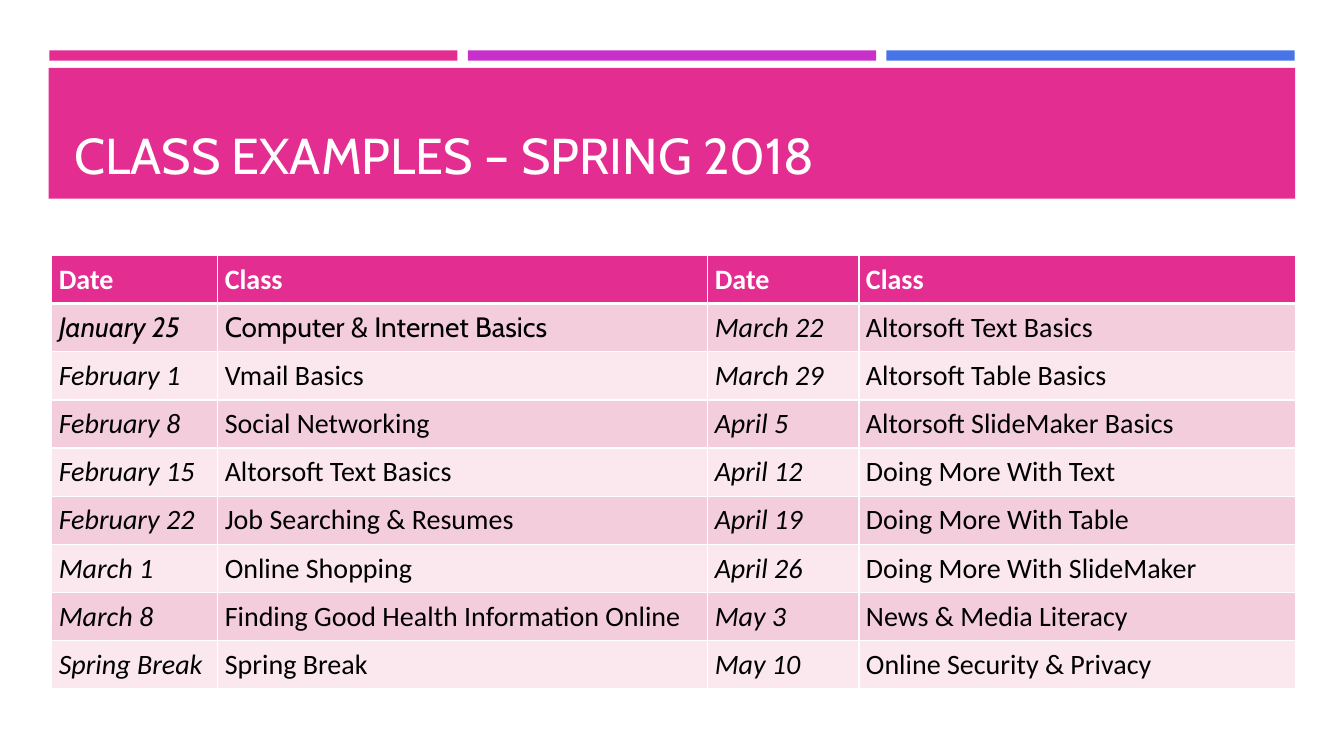
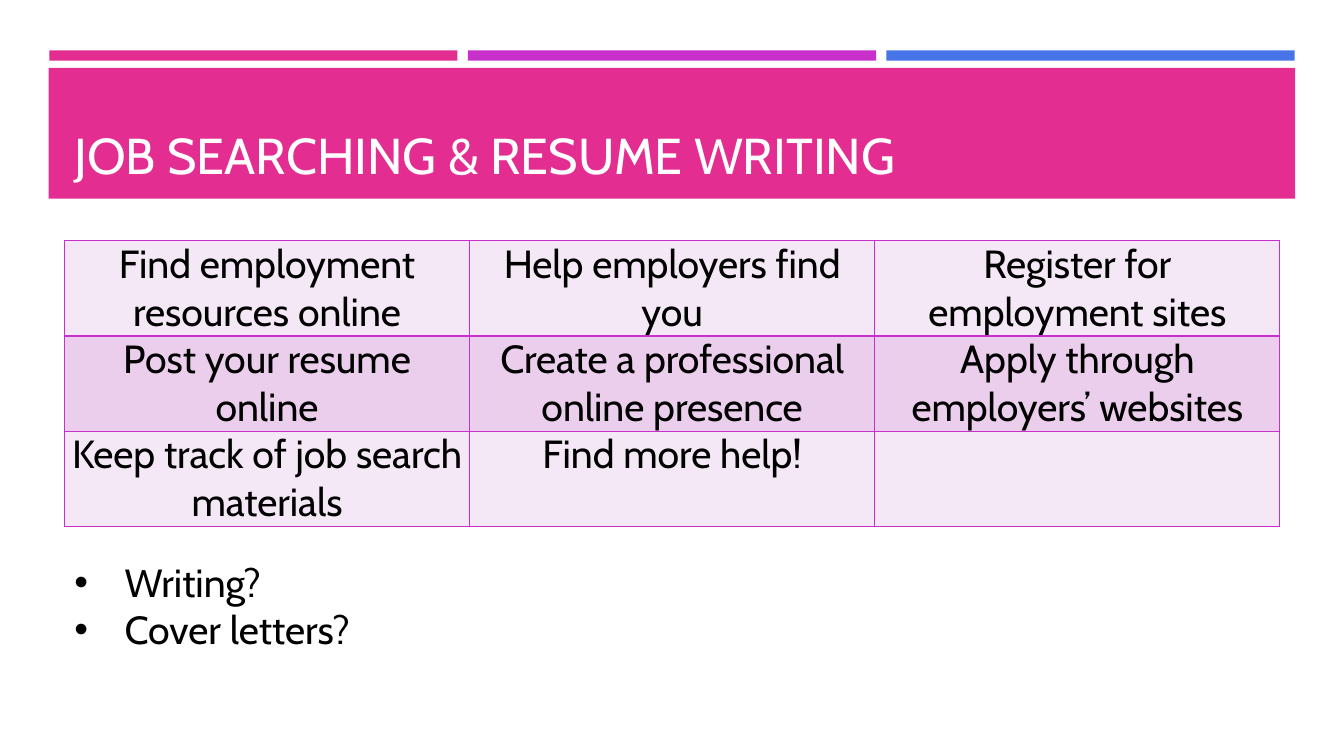
from lxml import etree
from pptx import Presentation
from pptx.dml.color import RGBColor
from pptx.enum.shapes import MSO_SHAPE
from pptx.enum.text import MSO_ANCHOR, PP_ALIGN
from pptx.oxml.ns import qn
from pptx.util import Pt

RECTANGLE = MSO_SHAPE.RECTANGLE
BOTTOM = MSO_ANCHOR.BOTTOM
LEFT, CENTER = PP_ALIGN.LEFT, PP_ALIGN.CENTER

COLORS = {
    "pink": "E32D91", "purple": "C830CC", "blue": "4775E7",
    "white": "FFFFFF", "black": "000000",
    "pink_band": "F4CDDC", "pink_pale": "FAE8EE",
    "purple_band": "EBCDEC", "purple_pale": "F5E8F6",
}
DISPLAY, BODY = "Cabin", "Calibri"

# Boxes: left, top, width, height in points
STRIPES_BOX = (35.2, 36, 889.6, 7.4)
TITLE_BOX = (34.8, 48.5, 890.4, 93.5)
SCHEDULE_BOX = (37, 182.5, 888.5, 309.6)
TOPICS_BOX = (46, 172, 868.2, 204)
QUESTIONS_BOX = (46, 395.3, 868.2, 75)

SCHEDULE_COLUMNS = (118.6, 350, 108, 311.9)
SCHEDULE = [
    ("Date", "Class", "Date", "Class"),
    ("January 25", "Computer & Internet Basics", "March 22", "Altorsoft Text Basics"),
    ("February 1", "Vmail Basics", "March 29", "Altorsoft Table Basics"),
    ("February 8", "Social Networking", "April 5", "Altorsoft SlideMaker Basics"),
    ("February 15", "Altorsoft Text Basics", "April 12", "Doing More With Text"),
    ("February 22", "Job Searching & Resumes", "April 19", "Doing More With Table"),
    ("March 1", "Online Shopping", "April 26", "Doing More With SlideMaker"),
    ("March 8", "Finding Good Health Information Online", "May 3", "News & Media Literacy"),
    ("Spring Break", "Spring Break", "May 10", "Online Security & Privacy"),
]
TOPICS = [
    ("Find employment resources online", "Help employers find you",
     "Register for employment sites"),
    ("Post your resume online", "Create a professional online presence",
     "Apply through employers’ websites"),
    ("Keep track of job search materials", "Find more help!", ""),
]
QUESTIONS = ("Writing?", "Cover letters?")


def rgb(name):
    return RGBColor.from_string(COLORS[name])


def style_text(paragraph, size, font, color, bold=False, italic=False):
    for run in paragraph.runs:
        run.font.size = Pt(size)
        run.font.name = font
        run.font.color.rgb = rgb(color)
        run.font.bold = bold
        run.font.italic = italic


def add_band(slide, left, top, width, height, color):
    band = slide.shapes.add_shape(RECTANGLE, Pt(left), Pt(top), Pt(width), Pt(height))
    band.shadow.inherit = False
    band.fill.solid()
    band.fill.fore_color.rgb = rgb(color)
    band.line.fill.background()


def add_text_box(slide, left, top, width, height):
    frame = slide.shapes.add_textbox(Pt(left), Pt(top), Pt(width), Pt(height)).text_frame
    frame.word_wrap = True
    return frame


def add_stripes(slide, box, gap=7.4):
    left, top, width, height = box
    colors = ("pink", "purple", "blue")
    stripe_width = (width - gap * (len(colors) - 1)) / len(colors)
    for i, color in enumerate(colors):
        add_band(slide, left + i * (stripe_width + gap), top, stripe_width, height, color)


def add_title(slide, box, title):
    left, top, width, height = box
    add_band(slide, *box, "pink")
    frame = add_text_box(slide, left + 11.2, top + 7, width - 22.4, height - 13.6)
    frame.vertical_anchor = BOTTOM
    frame.text = title
    style_text(frame.paragraphs[0], 36, DISPLAY, "white")


def add_titled_slide(prs, title):
    slide = prs.slides.add_slide(prs.slide_layouts[6])
    add_stripes(slide, STRIPES_BOX)
    add_title(slide, TITLE_BOX, title)
    return slide


def set_borders(cell, color, top=1, bottom=1):
    properties = cell._tc.get_or_add_tcPr()
    for side, width in (("L", 1), ("R", 1), ("T", top), ("B", bottom)):
        line = etree.SubElement(properties, qn(f"a:ln{side}"), w=str(Pt(width)))
        fill = etree.SubElement(line, qn("a:solidFill"))
        etree.SubElement(fill, qn("a:srgbClr"), val=COLORS[color])


def add_grid(slide, box, rows, columns, has_header):
    """Add an unstyled table with equal rows inside the box."""
    left, top, width, height = box
    table = slide.shapes.add_table(len(rows), len(columns), Pt(left), Pt(top),
                                   Pt(width), Pt(height)).table
    table.first_row = has_header
    for column, column_width in zip(table.columns, columns):
        column.width = Pt(column_width)
    for row in table.rows:
        row.height = Pt(height / len(rows))
    return table


def fill_cell(cell, text, fill, inset_y, align=LEFT):
    cell.margin_left = cell.margin_right = Pt(5)
    cell.margin_top = cell.margin_bottom = Pt(inset_y)
    cell.fill.solid()
    cell.fill.fore_color.rgb = rgb(fill)
    cell.text_frame.text = text
    paragraph = cell.text_frame.paragraphs[0]
    paragraph.alignment = align
    return paragraph


def add_schedule(slide, box):
    table = add_grid(slide, box, SCHEDULE, SCHEDULE_COLUMNS, True)
    for r, entries in enumerate(SCHEDULE):
        header = r == 0
        fill = "pink" if header else ("pink_pale", "pink_band")[r % 2]
        for c, entry in enumerate(entries):
            cell = table.cell(r, c)
            set_borders(cell, "white", top=3 if r == 1 else 1, bottom=3 if header else 1)
            paragraph = fill_cell(cell, entry, fill, 5)
            # The first class is set in the display font
            font = DISPLAY if r == 1 and c < 2 else BODY
            style_text(paragraph, 20, font, "white" if header else "black",
                       bold=header, italic=not header and c % 2 == 0)


def add_topics(slide, box):
    columns = [box[2] / 3] * 3
    table = add_grid(slide, box, TOPICS, columns, False)
    for r, topics in enumerate(TOPICS):
        for c, topic in enumerate(topics):
            cell = table.cell(r, c)
            set_borders(cell, "purple")
            paragraph = fill_cell(cell, topic, ("purple_pale", "purple_band")[r % 2], 0, CENTER)
            style_text(paragraph, 28, DISPLAY, "black")


def add_questions(slide, box):
    frame = add_text_box(slide, *box)
    frame.text = "\n".join(QUESTIONS)
    for paragraph in frame.paragraphs:
        style_text(paragraph, 28, DISPLAY, "black")
        properties = paragraph._p.get_or_add_pPr()
        properties.set("marL", str(Pt(36)))
        properties.set("indent", str(-Pt(36)))
        etree.SubElement(properties, qn("a:buFont"), typeface="Arial")
        etree.SubElement(properties, qn("a:buChar"), char="•")


def main():
    prs = Presentation()
    prs.slide_width, prs.slide_height = Pt(960), Pt(540)

    # Class schedule
    schedule_slide = add_titled_slide(prs, "CLASS EXAMPLES – SPRING 2018")
    add_schedule(schedule_slide, SCHEDULE_BOX)

    # Job search topics
    job_slide = add_titled_slide(prs, "JOB SEARCHING & RESUME WRITING")
    add_topics(job_slide, TOPICS_BOX)
    add_questions(job_slide, QUESTIONS_BOX)

    prs.save("out.pptx")


if __name__ == "__main__":
    main()
